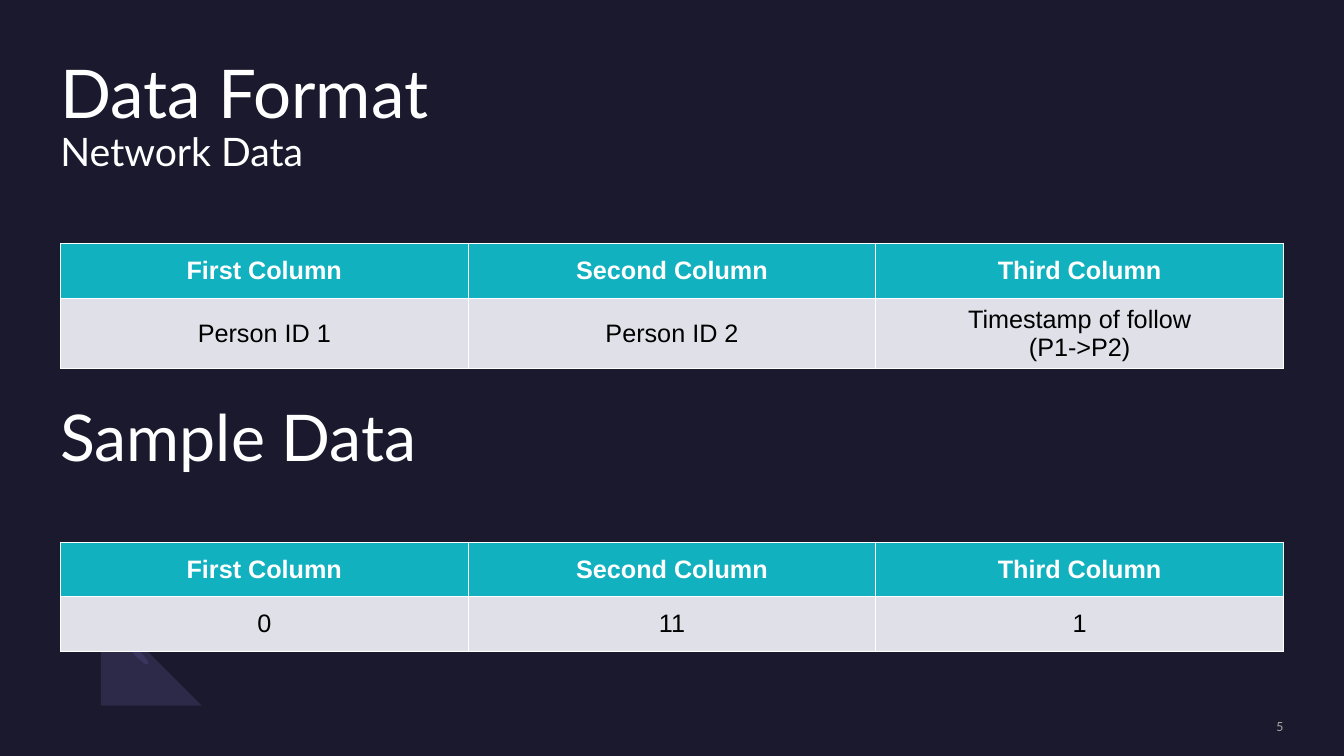
"""Build the Data Format slide with its two column tables."""
import dataclasses

import lxml.etree
import pptx
import pptx.dml.color
import pptx.enum.shapes
import pptx.enum.text
import pptx.oxml
import pptx.oxml.ns
import pptx.util

Inches = pptx.util.Inches
RGBColor = pptx.dml.color.RGBColor
Align = pptx.enum.text.PP_ALIGN
Anchor = pptx.enum.text.MSO_ANCHOR

NAVY = RGBColor(0x1B, 0x19, 0x2E)
INDIGO = RGBColor(0x2B, 0x27, 0x4A)
VIOLET = RGBColor(0x74, 0x6E, 0xB3)
TEAL = RGBColor(0x12, 0xB1, 0xBF)
PALE = RGBColor(0xE0, 0xE0, 0xE9)
WHITE = RGBColor(0xFF, 0xFF, 0xFF)
BLACK = RGBColor(0, 0, 0)
GREY = RGBColor(0xA5, 0xA5, 0xA5)

MARGIN = 0.6
CONTENT_WIDTH = 12.13
ROW_HEIGHT = 0.54
HEADERS = ("First Column", "Second Column", "Third Column")

Point = tuple[float, float]


@dataclasses.dataclass(frozen=True)
class TextBox:
    lines: tuple[str, ...]
    box: tuple[float, float, float, float]
    sizes: tuple[int, ...]
    font: str = "Lato"
    color: RGBColor = WHITE
    align: Align = Align.LEFT
    anchor: Anchor = Anchor.TOP
    spacing: float = 0.9


@dataclasses.dataclass(frozen=True)
class DataTable:
    top: float
    values: tuple[str, ...]


HEADING = TextBox(("Data Format", "Network Data"), (MARGIN, 0.6, CONTENT_WIDTH, 1.46), (48, 28))
SAMPLE_HEADING = TextBox(("Sample Data",), (MARGIN, 4.03, CONTENT_WIDTH, 1.46), (46,))
PAGE_NUMBER = TextBox(("5",), (10.88, 7.12, 1.85, 0.17), (10,), "Calibri", GREY,
                      Align.RIGHT, Anchor.MIDDLE, 1.0)
FORMAT_TABLE = DataTable(2.42, ("Person ID 1", "Person ID 2", "Timestamp of follow\n(P1->P2)"))
SAMPLE_TABLE = DataTable(5.38, ("0", "11", "1"))

RING_ENDS = ((1.35, 6.37), (0.82, 5.83))
RING_OUTER = (((0.75, 6.59), (0.56, 6.39), (0.58, 6.04), (0.81, 5.82)),)
RING_INNER = (((0.99, 6), (0.87, 6.11), (0.86, 6.28), (0.96, 6.38)),
              ((0.96, 6.38), (1.06, 6.48), (1.23, 6.47), (1.35, 6.36)))
RING_CLOSE = (((1.53, 6.54), (1.3, 6.76), (0.95, 6.79), (0.75, 6.59)),)


def write_text(paragraph, lines: tuple[str, ...], *, sizes: tuple[int, ...], font: str,
               color: RGBColor, align: Align, spacing: float = 1.0, bold: bool = False) -> None:
    paragraph.alignment = align
    paragraph.line_spacing = spacing
    for index, (line, size) in enumerate(zip(lines, sizes)):
        if index:
            paragraph.add_line_break()
        run = paragraph.add_run()
        run.text = line
        run.font.size = pptx.util.Pt(size)
        run.font.name = font
        run.font.bold = bold
        run.font.color.rgb = color


def add_text_box(slide, item: TextBox) -> None:
    frame = slide.shapes.add_textbox(*map(Inches, item.box)).text_frame
    frame.word_wrap = True
    frame.vertical_anchor = item.anchor
    frame.margin_left = frame.margin_right = frame.margin_top = frame.margin_bottom = 0
    write_text(frame.paragraphs[0], item.lines, sizes=item.sizes, font=item.font,
               color=item.color, align=item.align, spacing=item.spacing)


def add_borders(cell) -> None:
    properties = cell._tc.get_or_add_tcPr()
    for side in ("lnL", "lnR", "lnT", "lnB"):
        properties.append(pptx.oxml.parse_xml(
            f'<a:{side} {pptx.oxml.ns.nsdecls("a")} w="9525"><a:solidFill>'
            f'<a:srgbClr val="{WHITE}"/></a:solidFill></a:{side}>'))


def add_data_table(slide, item: DataTable) -> None:
    rows = (HEADERS, item.values)
    table = slide.shapes.add_table(
        len(rows), len(HEADERS), Inches(MARGIN), Inches(item.top),
        Inches(CONTENT_WIDTH), Inches(ROW_HEIGHT * len(rows))).table
    for row_index, row in enumerate(rows):
        header = row_index == 0
        for column_index, text in enumerate(row):
            cell = table.cell(row_index, column_index)
            add_borders(cell)
            cell.fill.solid()
            cell.fill.fore_color.rgb = TEAL if header else PALE
            cell.vertical_anchor = Anchor.MIDDLE
            frame = cell.text_frame
            for line_index, line in enumerate(text.split("\n")):
                paragraph = frame.add_paragraph() if line_index else frame.paragraphs[0]
                write_text(paragraph, (line,), sizes=(18,), font="Arial", bold=header,
                           color=WHITE if header else BLACK, align=Align.CENTER)


def curve_points(curve: tuple[Point, ...], steps: int = 16) -> list[Point]:
    points = []
    for step in range(steps + 1):
        t = step / steps
        weights = ((1 - t) ** 3, 3 * t * (1 - t) ** 2, 3 * t ** 2 * (1 - t), t ** 3)
        points.append(tuple(sum(w * p[axis] for w, p in zip(weights, curve)) for axis in (0, 1)))
    return points


def paint(shape, color: RGBColor) -> None:
    shape.shadow.inherit = False
    shape.fill.solid()
    shape.fill.fore_color.rgb = color
    shape.line.fill.background()


def add_ring(slide) -> None:
    for left, top in RING_ENDS:
        end = slide.shapes.add_shape(pptx.enum.shapes.MSO_SHAPE.OVAL, Inches(left), Inches(top),
                                     Inches(0.06), Inches(0.26))
        end.rotation = 315
        paint(end, INDIGO)
    outline = [point for curve in RING_OUTER + RING_INNER + RING_CLOSE
               for point in curve_points(curve)]
    builder = slide.shapes.build_freeform(*outline[0], scale=Inches(1))
    builder.add_line_segments(outline[1:], close=True)
    ring = builder.convert_to_shape()
    paint(ring, VIOLET)
    color = ring.fill._xPr.find(".//" + pptx.oxml.ns.qn("a:srgbClr"))
    lxml.etree.SubElement(color, pptx.oxml.ns.qn("a:alpha"), val="20000")


def main() -> None:
    presentation = pptx.Presentation()
    presentation.slide_width = Inches(13.33)
    presentation.slide_height = Inches(7.5)
    slide = presentation.slides.add_slide(presentation.slide_layouts[6])
    slide.background.fill.solid()
    slide.background.fill.fore_color.rgb = NAVY
    add_ring(slide)
    add_text_box(slide, HEADING)
    add_data_table(slide, FORMAT_TABLE)
    add_text_box(slide, PAGE_NUMBER)
    add_data_table(slide, SAMPLE_TABLE)
    add_text_box(slide, SAMPLE_HEADING)
    presentation.save("out.pptx")


if __name__ == "__main__":
    main()
